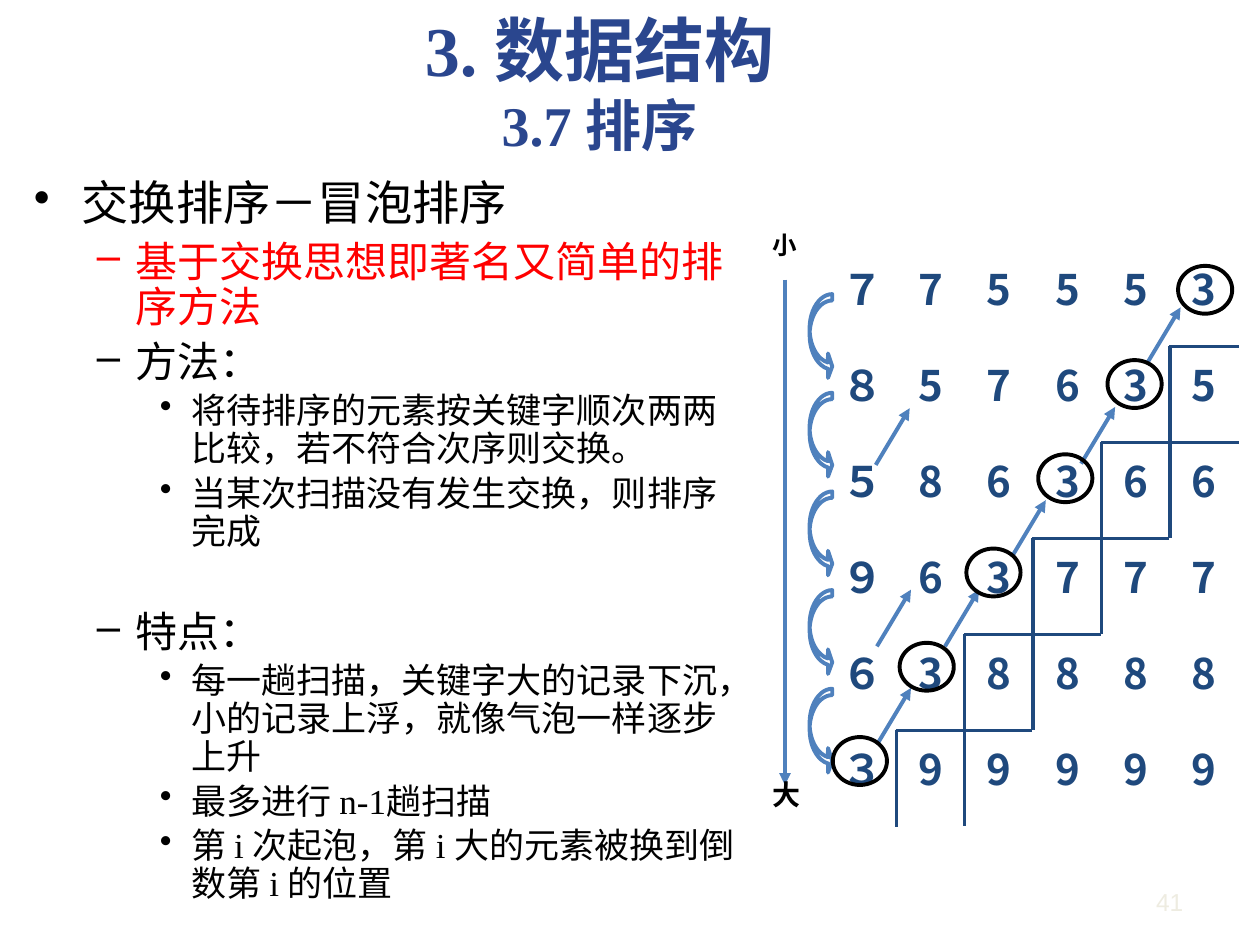
from lxml import etree
from pptx import Presentation
from pptx import util as u
from pptx.dml.color import RGBColor
from pptx.enum import shapes, text
from pptx.oxml.ns import qn

COLUMNS, ROWS = 100, 75
SERIF, CJK, SANS = "Times New Roman", "Noto Sans CJK SC", "Arial"
BLACK, RED, NAVY, BLUE = "000000", "FF0000", "1F497D", "4F81BD"
TITLE_BLUE, PALE = "2A468E", "EEECE1"

# level: (bullet, size, left indent, hanging indent, space before)
LEVELS = [("•", 27, 0.38, 0.38, 0), ("–", 24, 0.81, 0.31, 5.5), ("•", 20, 1.25, 0.25, 4)]
OUTLINE = [
    (0, "交换排序－冒泡排序", {}),
    (1, "基于交换思想即著名又简单的排序方法", {"color": RED}),
    (1, "方法：", {}),
    (2, "将待排序的元素按关键字顺次两两比较，若不符合次序则交换。", {}),
    (2, "当某次扫描没有发生交换，则排序完成", {}),
    (1, "特点：", {"before": 34}),
    (2, "每一趟扫描，关键字大的记录下沉，小的记录上浮，就像气泡一样逐步上升", {}),
    (2, "最多进行 n-1趟扫描", {}),
    (2, "第 i 次起泡，第 i 大的元素被换到倒数第 i 的位置", {}),
]
PASSES = ["７77777"[:1] + "75553", "８57635", "５86366", "９63777", "６38888", "３99999"]


def rgb(color):
    return RGBColor.from_string(color)


def write(paragraph, words, size=20, font=SERIF, color=BLACK, bold=False, align=None):
    run = paragraph.add_run()
    run.text = words
    run.font.size, run.font.name, run.font.bold = u.Pt(size), font, bold
    run.font.color.rgb = rgb(color)
    latin = run.font._element.find(qn("a:latin"))
    east_asian = etree.Element(qn("a:ea"), typeface=CJK)
    latin.addnext(east_asian)
    if align is not None:
        paragraph.alignment = align


def add_border(cell, sides, color=NAVY, width=2.25):
    """Draw the cell's sides, named by L, R, T and B in that order."""
    properties = cell._tc.get_or_add_tcPr()
    for index, side in enumerate(sides):
        border = etree.Element(qn(f"a:ln{side}"), w=str(u.Pt(width)))
        fill = etree.SubElement(border, qn("a:solidFill"))
        etree.SubElement(fill, qn("a:srgbClr"), val=color)
        properties.insert(index, border)


class SlideBuilder:
    """Places elements on a grid of 100 columns by 75 rows."""

    def __init__(self, presentation):
        self.slide = presentation.slides.add_slide(presentation.slide_layouts[5])
        self.column = presentation.slide_width / COLUMNS
        self.row = presentation.slide_height / ROWS
        self.line_width = u.Pt(2.25)

    def box(self, left, top, width, height):
        return [round(length * unit) for length, unit in
                zip((left, top, width, height), (self.column, self.row) * 2)]

    def title(self, box, heading, subheading):
        shape = self.slide.shapes.title
        shape.left, shape.top, shape.width, shape.height = self.box(*box)
        frame = shape.text_frame
        frame.vertical_anchor = text.MSO_ANCHOR.MIDDLE
        frame.auto_size = text.MSO_AUTO_SIZE.NONE
        paragraph = frame.paragraphs[0]
        style = dict(color=TITLE_BLUE, bold=True, align=text.PP_ALIGN.CENTER)
        write(paragraph, heading, size=40, **style)
        paragraph.add_line_break()
        write(paragraph, subheading, size=32, **style)

    def label(self, box, words, wrap=False, **style):
        frame = self.slide.shapes.add_textbox(*self.box(*box)).text_frame
        frame.word_wrap = wrap
        write(frame.paragraphs[0], words, **style)

    def outline(self, box, items):
        frame = self.slide.shapes.add_textbox(*self.box(*box)).text_frame
        frame.word_wrap = True
        for index, (level, words, changes) in enumerate(items):
            paragraph = frame.add_paragraph() if index else frame.paragraphs[0]
            bullet, size, left, hanging, before = LEVELS[level]
            paragraph.level = level
            paragraph.line_spacing = 0.9
            paragraph.space_before = u.Pt(changes.get("before", before))
            properties = paragraph._p.get_or_add_pPr()
            properties.set("marL", str(u.Inches(left)))
            properties.set("indent", str(-u.Inches(hanging)))
            etree.SubElement(properties, qn("a:buChar"), char=bullet)
            write(paragraph, words, size=size, color=changes.get("color", BLACK))

    def staircase_table(self, box, rows):
        """Show the passes, with the sorted part set off by a stepped line."""
        count = len(rows)
        table = self.slide.shapes.add_table(count, count, *self.box(*box)).table
        table.first_row = table.horz_banding = False
        for r, values in enumerate(rows):
            for c, value in enumerate(values):
                cell = table.cell(r, c)
                cell.fill.background()
                write(cell.text_frame.paragraphs[0], value, size=24, font=CJK,
                      color=NAVY, bold=True, align=text.PP_ALIGN.CENTER)
                if r + c == count - 1:
                    add_border(cell, ("R" if r else "") + ("B" if c else ""))
                elif r + c == count:
                    add_border(cell, "LT")

    def arrow(self, start, end):
        x1, y1, x2, y2 = self.box(*start, *end)
        connector = self.slide.shapes.add_connector(
            shapes.MSO_CONNECTOR.STRAIGHT, x1, y1, x2, y2)
        connector.line.color.rgb = rgb(BLUE)
        connector.line.width = self.line_width
        etree.SubElement(connector.line._get_or_add_ln(), qn("a:tailEnd"), type="triangle")
        etree.SubElement(connector._element.spPr, qn("a:effectLst"))

    def outlined(self, kind, box, color, rotation=0, adjustments=()):
        shape = self.slide.shapes.add_shape(kind, *self.box(*box))
        shape.shadow.inherit = False
        shape.fill.background()
        shape.line.color.rgb = rgb(color)
        shape.line.width = self.line_width
        shape.rotation = rotation
        for index, value in enumerate(adjustments):
            shape.adjustments[index] = value


def main():
    presentation = Presentation()
    presentation.slide_width, presentation.slide_height = u.Inches(10), u.Inches(7.5)
    builder = SlideBuilder(presentation)
    centre = text.PP_ALIGN.CENTER

    builder.outline((1.7, 13.8, 57.8, 59.9), OUTLINE)
    builder.staircase_table((65.7, 19.9, 32.6, 45.7), PASSES)

    builder.arrow((62.3, 22.2), (62.3, 62.3))
    builder.label((60.3, 17.8, 4, 3.3), "小", size=14, bold=True, align=centre)
    builder.label((60.3, 61.2, 4.2, 3.7), "大", size=16, bold=True, align=centre)

    rising = [(69.5, 36.9), (69.6, 51.3), (69.6, 59.1), (75, 51.3),
              (80.3, 44.2), (85.8, 36.8), (91, 28.9)]
    for x, y in rising:
        builder.arrow((x, y), (x + 2.7, y - 4.5))

    for step in range(5):
        builder.outlined(shapes.MSO_SHAPE.CURVED_UP_ARROW,
                         (61.8, 25.8 + 7.83 * step, 6.7, 1.8), BLUE,
                         rotation=90, adjustments=(0.28, 1.08, 0.19))

    for step, x in enumerate((66.1, 71.4, 76.7, 82.4, 87.9, 93.5)):
        builder.outlined(shapes.MSO_SHAPE.OVAL, (x, 58.5 - 7.48 * step, 4.3, 3.8), BLACK)

    builder.title((5.1, 0, 85, 13.1), "3. 数据结构", "3.7 排序")
    builder.label((84.9, 69.9, 10, 3.4), "41", wrap=True, size=14, font=SANS,
                  color=PALE, align=text.PP_ALIGN.RIGHT)
    presentation.save("out.pptx")


if __name__ == "__main__":
    main()
